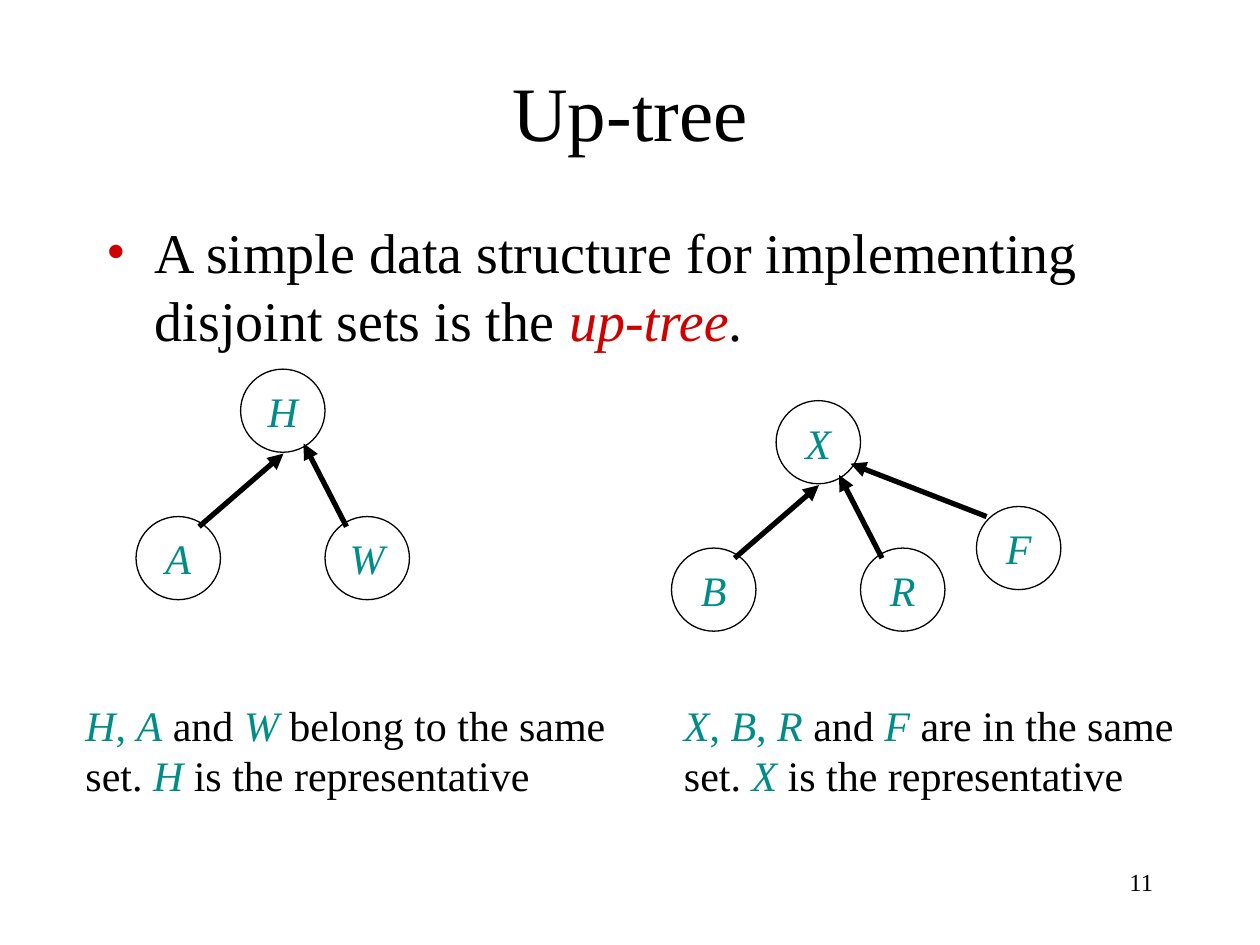
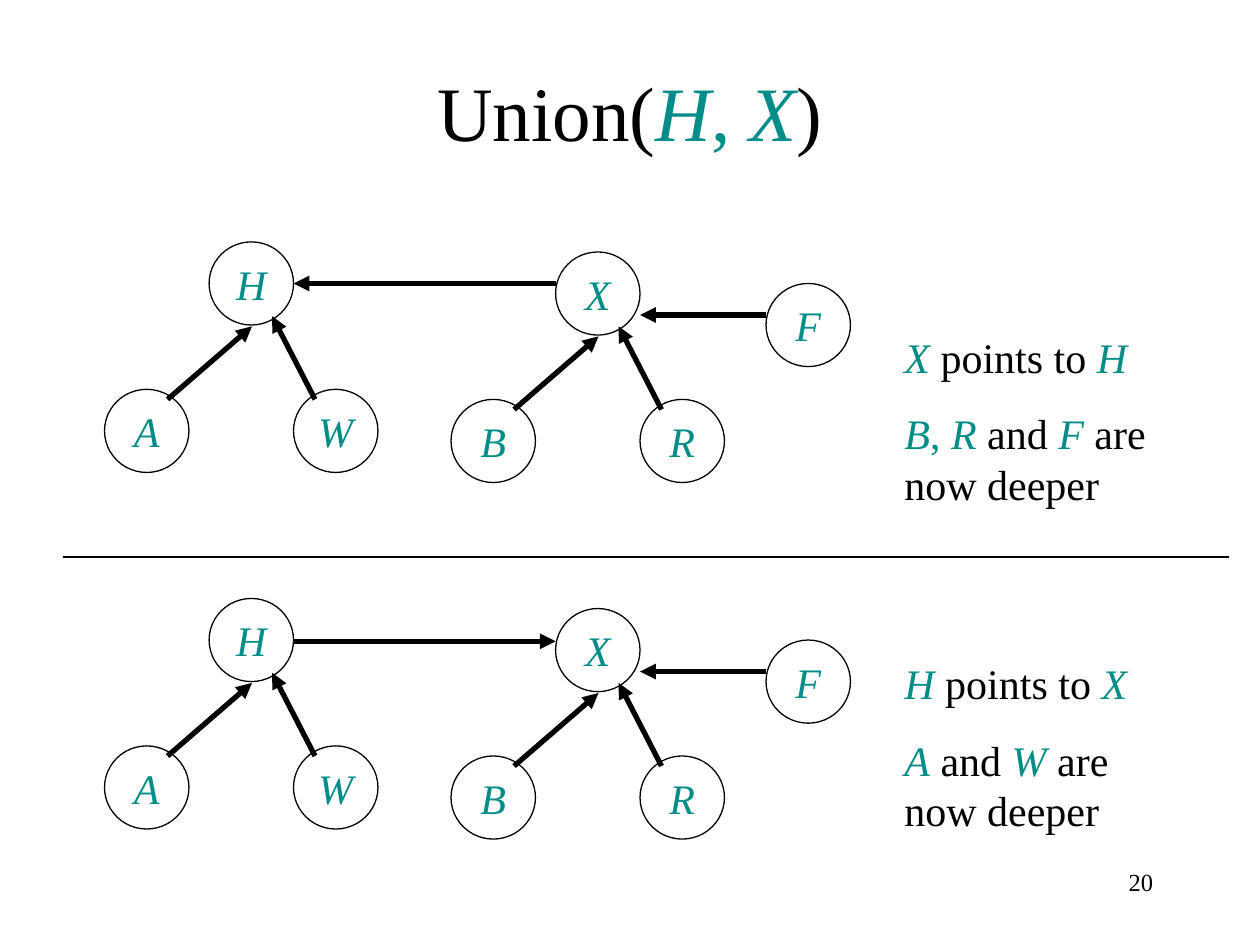
"""Build two slides about up-trees and the union of disjoint sets."""
import lxml.etree
import pptx
import pptx.dml.color
import pptx.enum.shapes
import pptx.enum.text
import pptx.oxml.ns
import pptx.util

Inches = pptx.util.Inches
Pt = pptx.util.Pt
qn = pptx.oxml.ns.qn
ALIGN = pptx.enum.text.PP_ALIGN
MIDDLE = pptx.enum.text.MSO_ANCHOR.MIDDLE
SHAPE = pptx.enum.shapes.MSO_SHAPE
STRAIGHT = pptx.enum.shapes.MSO_CONNECTOR.STRAIGHT

FONT = "Times New Roman"
BLACK, TEAL, RED = "000000", "008C87", "CE0000"
NODE_W, NODE_H = 0.67, 0.66


def paint(fill, color):
    fill.solid()
    fill.fore_color.rgb = pptx.dml.color.RGBColor.from_string(color)


def write(tf, text, size=24, align=ALIGN.LEFT, accent=TEAL, wrap=True, anchor=None, gap=15):
    """Write lines of text; parts between asterisks are accented, italic except for commas."""
    tf.word_wrap = wrap
    if anchor is not None:
        tf.vertical_anchor = anchor
    for i, line in enumerate(text.split("\n")):
        p = tf.add_paragraph() if i else tf.paragraphs[0]
        p.alignment = align
        if i:
            p.space_before = Pt(gap)
        for j, part in enumerate(line.split("*")):
            accented = j % 2 == 1
            pieces = part.replace(", ", "|, |").split("|") if accented else [part]
            for piece in filter(None, pieces):
                r = p.add_run()
                r.text = piece
                r.font.name, r.font.size = FONT, Pt(size)
                r.font.italic = accented and piece != ", "
                paint(r.font.fill, accent if accented else BLACK)


intro = "A simple data structure for implementing disjoint sets is the *up-tree*."
slides = [
    dict(
        title="Up-tree", number="11",
        trees=[("HAW", 1.91, 2.93), ("XBR", 6.16, 3.18)],
        singles=[("F", 7.75, 4.02)],
        arrows=[(7.83, 4.1, 6.75, 3.68)],
        rules=[],
        notes=[
            ("*H, A* and *W* belong to the same set. *H* is the representative", 0.58, 5.5, 4.5, 0.9),
            ("*X, B, R* and *F* are in the same set. *X* is the representative", 5.33, 5.5, 4.33, 0.9),
        ],
    ),
    dict(
        title="Union(*H, X*)", number="20",
        trees=[(names, x, y + drop) for drop in (0, 2.83)
               for names, x, y in (("HAW", 1.66, 1.92), ("XBR", 4.41, 2))],
        singles=[("F", 6.08, 2.25), ("F", 6.08, 5.08)],
        arrows=[(6.08, 2.5, 5.08, 2.5), (4.41, 2.25, 2.33, 2.25),
                (6.08, 5.33, 5.08, 5.33), (2.33, 5.09, 4.41, 5.09)],
        rules=[(0.5, 4.42, 9.75, 4.42)],
        notes=[
            ("*X* points to *H*\n*B, R* and *F* are now deeper", 7.08, 2.58, 2.5, 1.51),
            ("*H* points to *X*\n*A* and *W* are now deeper", 7.08, 5.17, 2.33, 1.51),
        ],
    ),
]

prs = pptx.Presentation()
prs.slide_width, prs.slide_height = Inches(10), Inches(7.5)

for content in slides:
    s = prs.slides.add_slide(prs.slide_layouts[5])
    sp = s.shapes.title
    sp.left, sp.top, sp.width, sp.height = map(Inches, (0.75, 0.25, 8.5, 1.25))
    write(sp.text_frame, content["title"], size=44, align=ALIGN.CENTER, anchor=MIDDLE)

    nodes = list(content["singles"])
    lines = [(ends, 3) for ends in content["arrows"]] + [(ends, 0.75) for ends in content["rules"]]
    for (root, left, right), x, y in content["trees"]:
        nodes += [(root, x, y), (left, x - 0.83, y + 1.17), (right, x + 0.67, y + 1.17)]
        lines += [((x - 0.33, y + 1.25, x + 0.34, y + 0.67), 3),
                  ((x + 0.84, y + 1.25, x + 0.5, y + 0.59), 3)]

    for name, x, y in nodes:
        sp = s.shapes.add_shape(SHAPE.OVAL, *map(Inches, (x, y, NODE_W, NODE_H)))
        sp.shadow.inherit = False
        sp.fill.background()
        paint(sp.line.fill, BLACK)
        sp.line.width = Pt(0.75)
        write(sp.text_frame, f"*{name}*", align=ALIGN.CENTER, wrap=False, anchor=MIDDLE)

    for ends, width in lines:
        sp = s.shapes.add_connector(STRAIGHT, *map(Inches, ends))
        paint(sp.line.fill, BLACK)
        sp.line.width = Pt(width)
        if width == 3:
            lxml.etree.SubElement(sp.line._get_or_add_ln(), qn("a:tailEnd"), type="triangle")
        lxml.etree.SubElement(sp._element.spPr, qn("a:effectLst"))

    for text, *box in content["notes"]:
        sp = s.shapes.add_textbox(*map(Inches, box))
        write(sp.text_frame, text)

    sp = s.shapes.add_textbox(*map(Inches, (7.17, 6.83, 2.08, 0.5)))
    write(sp.text_frame, content["number"], size=14, align=ALIGN.RIGHT)

sp = prs.slides[0].shapes.add_textbox(*map(Inches, (0.75, 1.68, 8.5, 1.17)))
pPr = sp.text_frame.paragraphs[0]._p.get_or_add_pPr()
pPr.set("marL", str(Inches(0.38)))
pPr.set("indent", str(Inches(-0.38)))
buClr = lxml.etree.SubElement(pPr, qn("a:buClr"))
lxml.etree.SubElement(buClr, qn("a:srgbClr"), val=RED)
lxml.etree.SubElement(pPr, qn("a:buFont"), typeface=FONT)
lxml.etree.SubElement(pPr, qn("a:buChar"), char="•")
write(sp.text_frame, intro, size=32, accent=RED)

prs.save("out.pptx")
